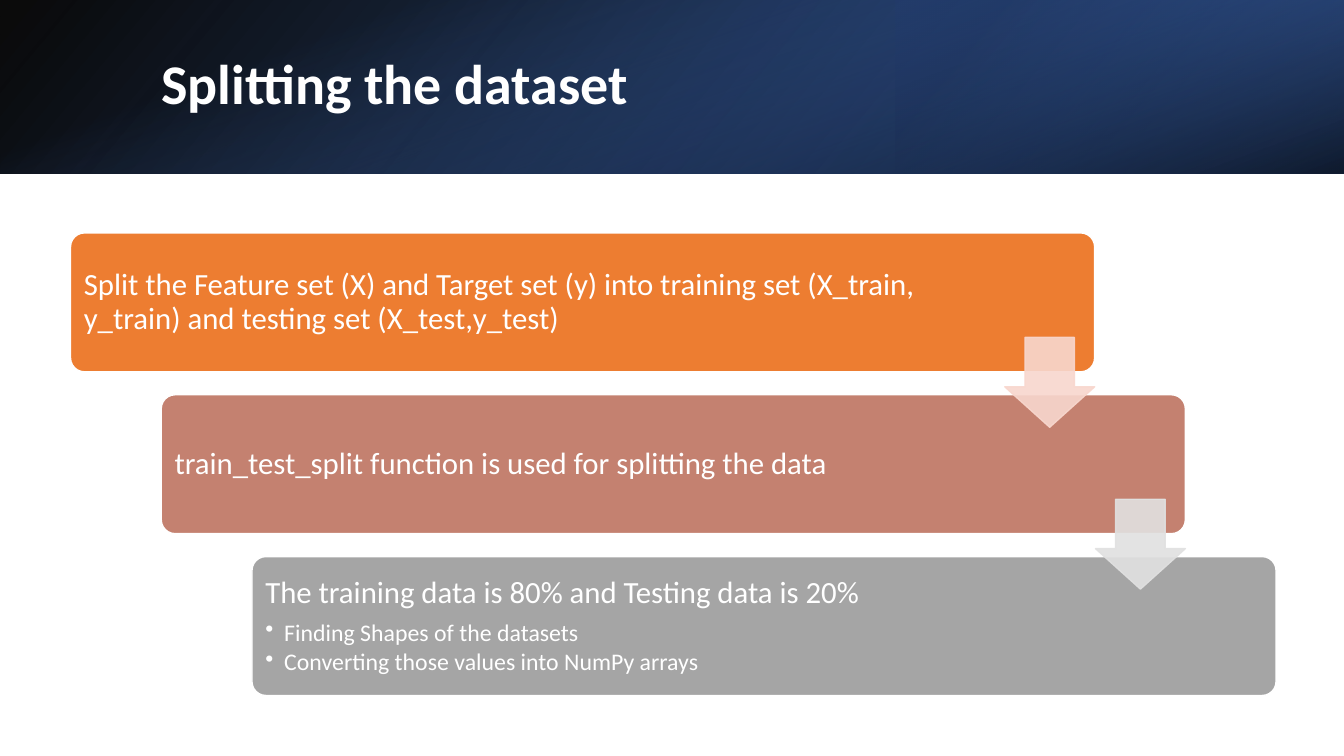
from pptx import Presentation
from pptx.dml.color import RGBColor
from pptx.enum.shapes import MSO_SHAPE as Preset
from pptx.enum.text import MSO_ANCHOR as Anchor
from pptx.oxml import parse_xml
from pptx.oxml.ns import nsdecls, qn
from pptx.util import Pt
from lxml.etree import SubElement

COLORS = {
    "white": "FFFFFF", "black": "000000", "navy": "2F5597",
    "dark_navy": "203864", "blue": "4472C4",
    "orange": "ED7D31", "clay": "C48170", "gray": "A5A5A5",
    "pale_orange": "F8D7CE", "pale_gray": "E1E1E1",
}
FONT = "Calibri"
STEPS = [
    # text, bullets, card colour, text width, colour of the arrow to the next step
    ("Split the Feature set (X) and Target set (y) into training set "
     "(X_train, y_train) and testing set (X_test,y_test)",
     [], "orange", 624, "pale_orange"),
    ("train_test_split function is used for splitting the data",
     [], "clay", 597, "pale_gray"),
    ("The training data is 80% and Testing data is 20%",
     ["Finding Shapes of the datasets",
      "Converting those values into NumPy arrays"], "gray", 597, None),
]


def add_plain_shape(slide, preset, box, adjustments=()):
    shape = slide.shapes.add_shape(preset, *map(Pt, box))
    shape.shadow.inherit = False
    for index, value in enumerate(adjustments):
        shape.adjustments[index] = value
    return shape


def paint(shape, color, opacity=100):
    """Give fill and outline the same opacity; cards have a white outline."""
    outline = color if opacity < 100 else "white"
    shape.line.width = Pt(1)
    shape.fill.solid()
    for target, name in ((shape.fill.fore_color, color),
                         (shape.line.color, outline)):
        target.rgb = RGBColor.from_string(COLORS[name])
    if opacity < 100:
        for element in shape._element.spPr.iter(qn("a:srgbClr")):
            SubElement(element, qn("a:alpha"), val=str(opacity * 1000))


def add_gradient(slide, box, stops, angle, rotation=0, flip=False):
    shape = add_plain_shape(slide, Preset.RECTANGLE, box)
    shape.rotation = rotation
    shape.line.fill.background()
    shape.fill.background()
    properties = shape._element.spPr
    if flip:
        properties.find(qn("a:xfrm")).set("flipH", "1")
    stop_xml = "".join(
        f'<a:gs pos="{place * 1000}"><a:srgbClr val="{COLORS[color]}">'
        f'<a:alpha val="{opacity * 1000}"/></a:srgbClr></a:gs>'
        for place, color, opacity in stops)
    gradient = parse_xml(
        f'<a:gradFill {nsdecls("a")} rotWithShape="1"><a:gsLst>{stop_xml}</a:gsLst>'
        f'<a:lin ang="{angle * 60000}" scaled="0"/></a:gradFill>')
    properties.replace(properties.find(qn("a:noFill")), gradient)


def add_text(slide, box, margins=(7.2, 3.6)):
    frame = slide.shapes.add_textbox(*map(Pt, box)).text_frame
    frame.word_wrap = True
    frame.vertical_anchor = Anchor.MIDDLE
    frame.margin_left = frame.margin_right = Pt(margins[0])
    frame.margin_top = frame.margin_bottom = Pt(margins[1])
    return frame


def write(paragraph, text, size, bold=False, after=None, after_percent=0,
          bullet=False):
    paragraph.line_spacing = 0.9
    properties = paragraph._p.get_or_add_pPr()
    if after is not None:
        paragraph.space_after = Pt(after)
    else:
        spacing = SubElement(properties, qn("a:spcAft"))
        SubElement(spacing, qn("a:spcPct"), val=str(after_percent * 1000))
    if bullet:
        paragraph.level = 1
        indent = Pt(13.5)
        properties.set("marL", str(indent))
        properties.set("indent", str(-indent))
        SubElement(properties, qn("a:buChar"), char="\u2022")
    run = paragraph.add_run()
    run.text = text
    run.font.name, run.font.size, run.font.bold = FONT, Pt(size), bold
    run.font.color.rgb = RGBColor.from_string(COLORS["white"])


def add_header(slide, left, top, width, height, title):
    # Layered gradients
    add_gradient(slide, (left, top, width, height),
                 [(0, "black", 96), (100, "navy", 100)], 140, flip=True)
    third = width / 3
    add_gradient(slide, (left + width - third, top, third, height),
                 [(19, "dark_navy", 68), (100, "blue", 79)], 320,
                 rotation=180, flip=True)
    # Upright box that covers the band once turned by 90 degrees
    shift = (width - height) / 2
    add_gradient(slide, (left + shift, top - shift, height, width),
                 [(23, "blue", 0), (99, "black", 74)], 340, rotation=90)
    # Title
    frame = add_text(slide, (left + 108, top + 27.4, 790.6, 69.1))
    write(frame.paragraphs[0], title, 40, bold=True, after=6)


def add_staircase(slide, left, top, width, height, steps):
    card_width, card_height, arrow_size, inset = 731.5, 99.2, 64.2, 2.9
    step_x = (width - card_width) / (len(steps) - 1)
    step_y = (height - card_height) / (len(steps) - 1)
    corners = [(left + i * step_x, top + i * step_y) for i in range(len(steps))]
    # Cards
    for (x, y), (text, bullets, color, text_width, _) in zip(corners, steps):
        card = add_plain_shape(slide, Preset.ROUNDED_RECTANGLE,
                               (x, y, card_width, card_height), [0.1])
        paint(card, color)
        frame = add_text(slide, (x + inset, y + inset, text_width,
                                 card_height - 2 * inset), (6.6, 6.6))
        write(frame.paragraphs[0], text, 22, after_percent=35)
        for bullet in bullets:
            write(frame.add_paragraph(), bullet, 17, after_percent=15, bullet=True)
    # Arrows, flush with the right edge of the card they leave
    for (x, y), (*_, arrow_color) in zip(corners, steps):
        if arrow_color:
            arrow = add_plain_shape(
                slide, Preset.DOWN_ARROW,
                (x + card_width - arrow_size, y + 74.6, arrow_size, arrow_size),
                [0.55, 0.45])
            paint(arrow, arrow_color, opacity=90)


presentation = Presentation()
presentation.slide_width, presentation.slide_height = Pt(960), Pt(540)
slide = presentation.slides.add_slide(presentation.slide_layouts[6])
add_header(slide, 0, 0, 960, 124, "Splitting the dataset")
add_staircase(slide, 50.4, 166.4, 861.1, 330.4, STEPS)
presentation.save("out.pptx")
